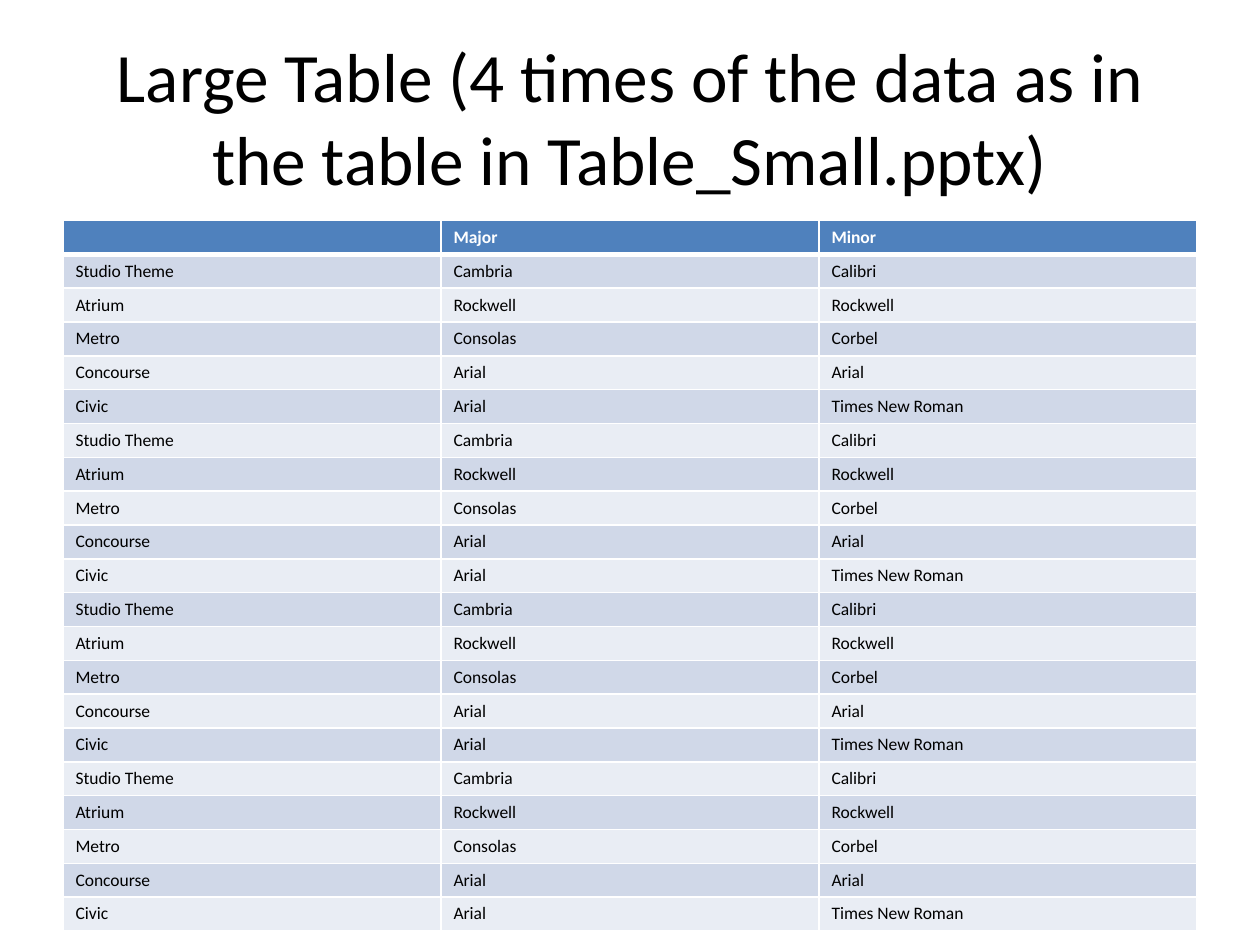
import dataclasses

import lxml.etree
import pptx
import pptx.dml.color
import pptx.enum.text
import pptx.oxml.ns
import pptx.util


@dataclasses.dataclass(frozen=True)
class Theme:
    font: str = "Calibri"
    title_size: float = 39.6
    table_size: float = 10
    text: str = "000000"
    header_text: str = "FFFFFF"
    header_fill: str = "4F81BD"
    band_fills: tuple = ("D0D8E8", "E9EDF4")
    border: str = "FFFFFF"
    border_width: float = 1
    header_rule_width: float = 3


THEME = Theme()
SLIDE_WIDTH, SLIDE_HEIGHT = 10, 7.5
MARGIN = 0.05 * SLIDE_WIDTH
CONTENT_WIDTH = SLIDE_WIDTH - 2 * MARGIN
TITLE_BOX = (MARGIN, 0.04 * SLIDE_HEIGHT, CONTENT_WIDTH, SLIDE_HEIGHT / 6)
TABLE_BOX = (MARGIN, 1.75, CONTENT_WIDTH, 5.64)

TITLE = "Large Table (4 times of the data as in the table in Table_Small.pptx)"
HEADER = ("", "Major", "Minor")
THEME_FONTS = [
    ("Studio Theme", "Cambria", "Calibri"),
    ("Atrium", "Rockwell", "Rockwell"),
    ("Metro", "Consolas", "Corbel"),
    ("Concourse", "Arial", "Arial"),
    ("Civic", "Arial", "Times New Roman"),
]
REPEATS = 4


def rgb(color):
    return pptx.dml.color.RGBColor.from_string(color)


def write_text(frame, text, size, color=THEME.text, bold=False, align=None):
    """Fill the first paragraph; an empty one still keeps its type size."""
    paragraph = frame.paragraphs[0]
    paragraph.alignment = align
    if not text:
        end = pptx.oxml.ns.qn("a:endParaRPr")
        lxml.etree.SubElement(paragraph._p, end, sz=str(int(size * 100)))
        return
    run = paragraph.add_run()
    run.text = text
    run.font.name = THEME.font
    run.font.size = pptx.util.Pt(size)
    run.font.bold = bold
    run.font.color.rgb = rgb(color)


def set_borders(cell, top, bottom):
    """Draw all four sides; call before the fill, which must follow them."""
    qn = pptx.oxml.ns.qn
    properties = cell._tc.get_or_add_tcPr()
    side = THEME.border_width
    for name, width in (("L", side), ("R", side), ("T", top), ("B", bottom)):
        line = lxml.etree.SubElement(
            properties, qn(f"a:ln{name}"), w=str(pptx.util.Pt(width)))
        fill = lxml.etree.SubElement(line, qn("a:solidFill"))
        lxml.etree.SubElement(fill, qn("a:srgbClr"), val=THEME.border)


def add_title(slide, box, text):
    shape = slide.shapes.add_textbox(*map(pptx.util.Inches, box))
    frame = shape.text_frame
    frame.word_wrap = True
    frame.vertical_anchor = pptx.enum.text.MSO_ANCHOR.MIDDLE
    write_text(frame, text, THEME.title_size,
               align=pptx.enum.text.PP_ALIGN.CENTER)


def style_cell(cell, row_index):
    thin, thick = THEME.border_width, THEME.header_rule_width
    is_header = row_index == 0
    set_borders(cell, top=thick if row_index == 1 else thin,
                bottom=thick if is_header else thin)
    band = THEME.band_fills[(row_index - 1) % len(THEME.band_fills)]
    cell.fill.solid()
    cell.fill.fore_color.rgb = rgb(THEME.header_fill if is_header else band)


def add_font_table(slide, box, rows):
    table = slide.shapes.add_table(
        len(rows), len(rows[0]), *map(pptx.util.Inches, box)).table
    for row_index, row in enumerate(rows):
        is_header = row_index == 0
        for column_index, text in enumerate(row):
            cell = table.cell(row_index, column_index)
            style_cell(cell, row_index)
            write_text(cell.text_frame, text, THEME.table_size, bold=is_header,
                       color=THEME.header_text if is_header else THEME.text)


def main():
    presentation = pptx.Presentation()
    presentation.slide_width = pptx.util.Inches(SLIDE_WIDTH)
    presentation.slide_height = pptx.util.Inches(SLIDE_HEIGHT)
    slide = presentation.slides.add_slide(presentation.slide_layouts[6])
    add_title(slide, TITLE_BOX, TITLE)
    add_font_table(slide, TABLE_BOX, [HEADER] + THEME_FONTS * REPEATS)
    presentation.save("out.pptx")


if __name__ == "__main__":
    main()
